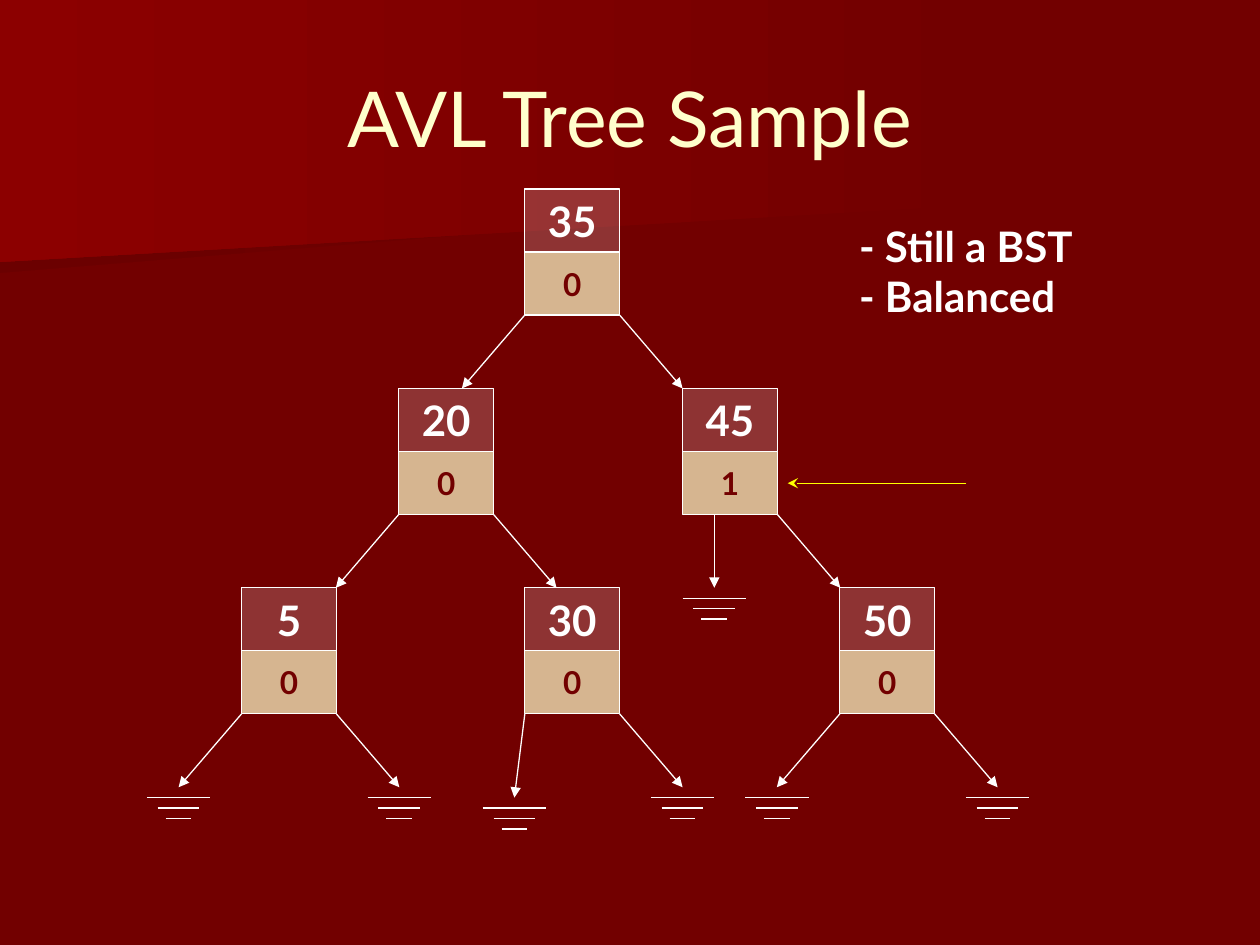
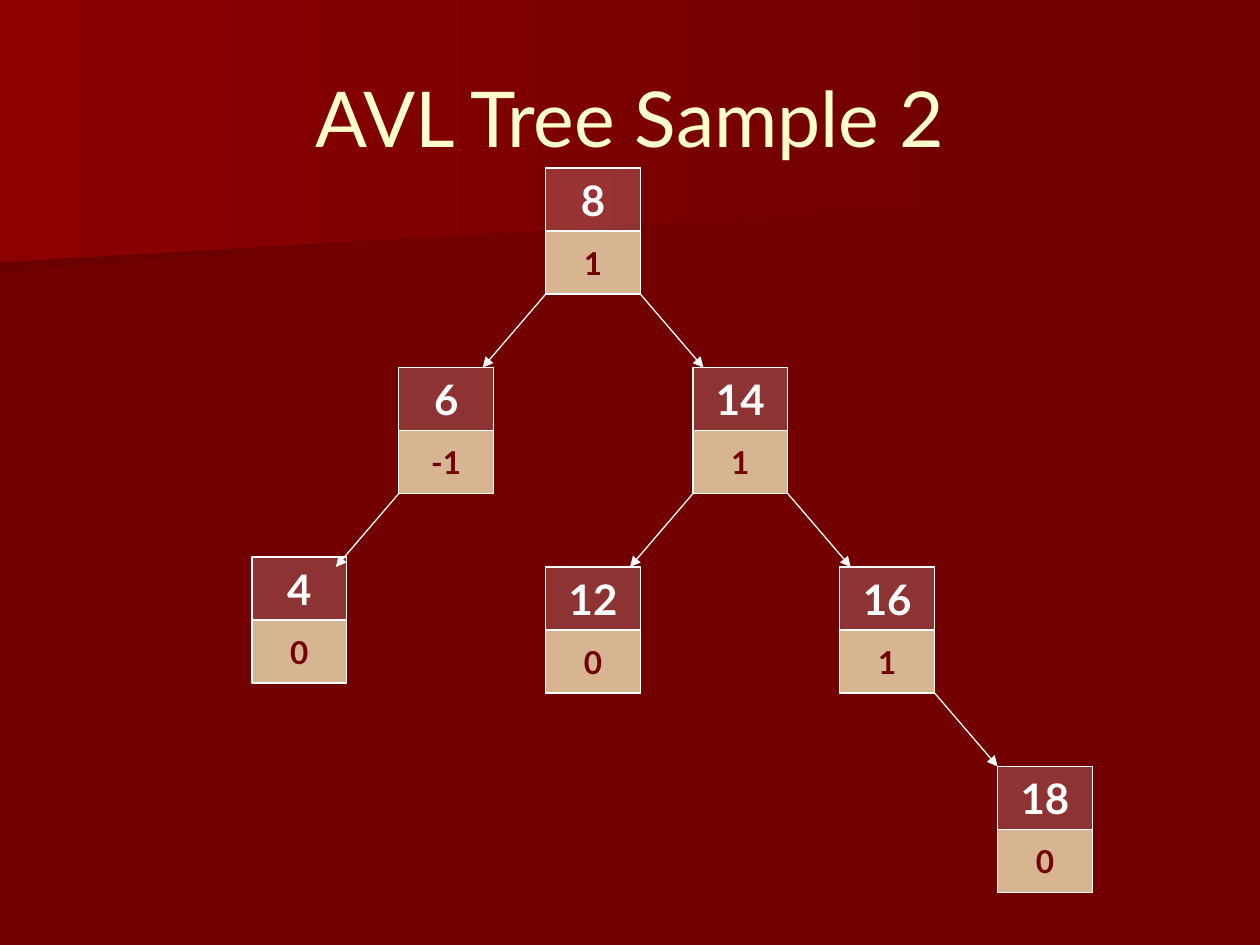
from lxml import etree
from pptx import Presentation
from pptx.dml.color import RGBColor
from pptx.enum.shapes import MSO_CONNECTOR, MSO_SHAPE
from pptx.enum.text import MSO_ANCHOR, PP_ALIGN
from pptx.oxml.ns import qn
from pptx.util import Cm, Pt

RECT = MSO_SHAPE.RECTANGLE
STRAIGHT = MSO_CONNECTOR.STRAIGHT
MIDDLE = MSO_ANCHOR.MIDDLE
LEFT, CENTER = PP_ALIGN.LEFT, PP_ALIGN.CENTER

FONT = "Lato"
HUE = {"back": "720000", "shade": "6B0000", "glow": "8C0000",
       "cream": "FFFFCC", "white": "FFFFFF", "mark": "FFFF00"}

# Node cell size, distance between tree levels, gap of the null bars
WIDE, HIGH, STEP, GAP = 1.91, 1.27, 4.02, 0.21

# Arrow kinds: start from the node's left edge, then run across and down
LEGS = {"left": (0, -1.27, 1.48), "right": (WIDE, 1.27, 1.48),
        "down": (0.64, 0, 1.48), "steep": (0, -0.21, 1.69)}

# Node: key, balance, left, level, arrows to children, arrows to null
TREES = [
    ("AVL Tree Sample", 3.81, [
        ("35", "0", 10.58, 0, ["left", "right"], []),
        ("45", "1", 13.76, 1, ["right"], ["down"]),
        ("20", "0", 8.04, 1, ["left", "right"], []),
        ("30", "0", 10.58, 2, [], ["steep", "right"]),
        ("5", "0", 4.87, 2, [], ["left", "right"]),
        ("50", "0", 16.93, 2, [], ["left", "right"])]),
    ("AVL Tree Sample 2", 3.39, [
        ("8", "1", 11, 0, ["left", "right"], []),
        ("14", "1", 13.97, 1, ["left", "right"], []),
        ("16", "1", 16.93, 2, ["right"], []),
        ("18", "0", 20.11, 3, [], []),
        ("12", "0", 11, 2, [], []),
        ("6", "-1", 8.04, 1, ["left"], []),
        ("4", "0", 5.08, 1.95, [], [])]),
]


def write(shape, text, size, hue, bold=True, align=CENTER, anchor=MIDDLE):
    frame = shape.text_frame
    frame.text = text
    frame.word_wrap = False
    frame.vertical_anchor = anchor
    for para in frame.paragraphs:
        para.alignment = align
        for run in para.runs:
            run.font.name, run.font.size, run.font.bold = FONT, Pt(size), bold
            run.font.color.rgb = RGBColor.from_string(HUE[hue])


def draw(slide, x1, y1, x2, y2, head=None, hue="white"):
    link = slide.shapes.add_connector(STRAIGHT, Cm(x1), Cm(y1), Cm(x2), Cm(y2))
    link.line.color.rgb = RGBColor.from_string(HUE[hue])
    link.line.width = Pt(0.75)
    props = link._element.spPr
    if head:
        etree.SubElement(props.find(qn("a:ln")), qn("a:tailEnd"), type=head)
    etree.SubElement(props, qn("a:effectLst"))


prs = Presentation()
prs.slide_width, prs.slide_height = Cm(25.4), Cm(19.05)
blank = prs.slide_layouts[6]
slides = [prs.slides.add_slide(blank) for tree in TREES]

# Shared background, with the bands moved into the layout
ground = prs.slide_master.background.fill
ground.solid()
ground.fore_color.rgb = RGBColor.from_string(HUE["back"])
bands = [("shade", [(19.76, 3.89), (0, 5.5), (0, 2.57), (19.79, 2.57)]),
         ("glow", [(20.12, 4.11), (0, 5.28), (0, 0), (20.12, 0)])]
for hue, spots in bands:
    spots = [(Cm(x), Cm(y)) for x, y in spots]
    path = slides[0].shapes.build_freeform(*spots[0])
    path.add_line_segments(spots[1:], close=True)
    band = path.convert_to_shape()
    band.shadow.inherit = False
    band.line.fill.background()
    band.fill.gradient()
    band.fill.gradient_angle = 180
    for stop, name, place in zip(band.fill.gradient_stops, ("back", hue), (0, 1)):
        stop.color.rgb = RGBColor.from_string(HUE[name])
        stop.position = place
    blank.shapes._spTree.append(band._element)

for slide, (title, top, nodes) in zip(slides, TREES):
    # Title
    box = slide.shapes.add_textbox(Cm(1.27), Cm(0.76), Cm(22.86), Cm(3.18))
    write(box, title, 44, "cream", bold=False)

    for key, bal, x, level, kids, nulls in nodes:
        # Key cell above balance cell
        y = top + level * STEP
        cells = [(key, 24, "white", "white", 20), (bal, 18, "back", "cream", 71)]
        for row, (text, size, ink, hue, alpha) in enumerate(cells):
            cell = slide.shapes.add_shape(
                RECT, Cm(x), Cm(y + row * HIGH), Cm(WIDE), Cm(HIGH))
            cell.shadow.inherit = False
            cell.fill.solid()
            cell.fill.fore_color.rgb = RGBColor.from_string(HUE[hue])
            tint = cell._element.spPr.find(".//" + qn("a:srgbClr"))
            etree.SubElement(tint, qn("a:alpha"), val=str(alpha * 1000))
            cell.line.color.rgb = RGBColor.from_string(HUE["white"])
            cell.line.width = Pt(0.75)
            write(cell, text, size, ink)

        # Arrows, those to null ending above three shrinking bars
        foot = y + 2 * HIGH
        for leg in kids + nulls:
            start, across, down = LEGS[leg]
            tip, end = x + start + across, foot + down
            draw(slide, x + start, foot, tip, end, "triangle")
            if leg in nulls:
                for i, half in enumerate((0.64, 0.42, 0.26), 1):
                    bar = end + i * GAP
                    draw(slide, tip - half, bar, tip + half, bar)

# Remarks and pointer on the first slide
note = slides[0].shapes.add_textbox(Cm(17.07), Cm(4.32), Cm(5.08), Cm(2.29))
write(note, "- Still a BST\n- Balanced", 24, "white", align=LEFT, anchor=MSO_ANCHOR.TOP)
draw(slides[0], 19.48, 9.74, 15.88, 9.74, "stealth", "mark")

prs.save("out.pptx")
